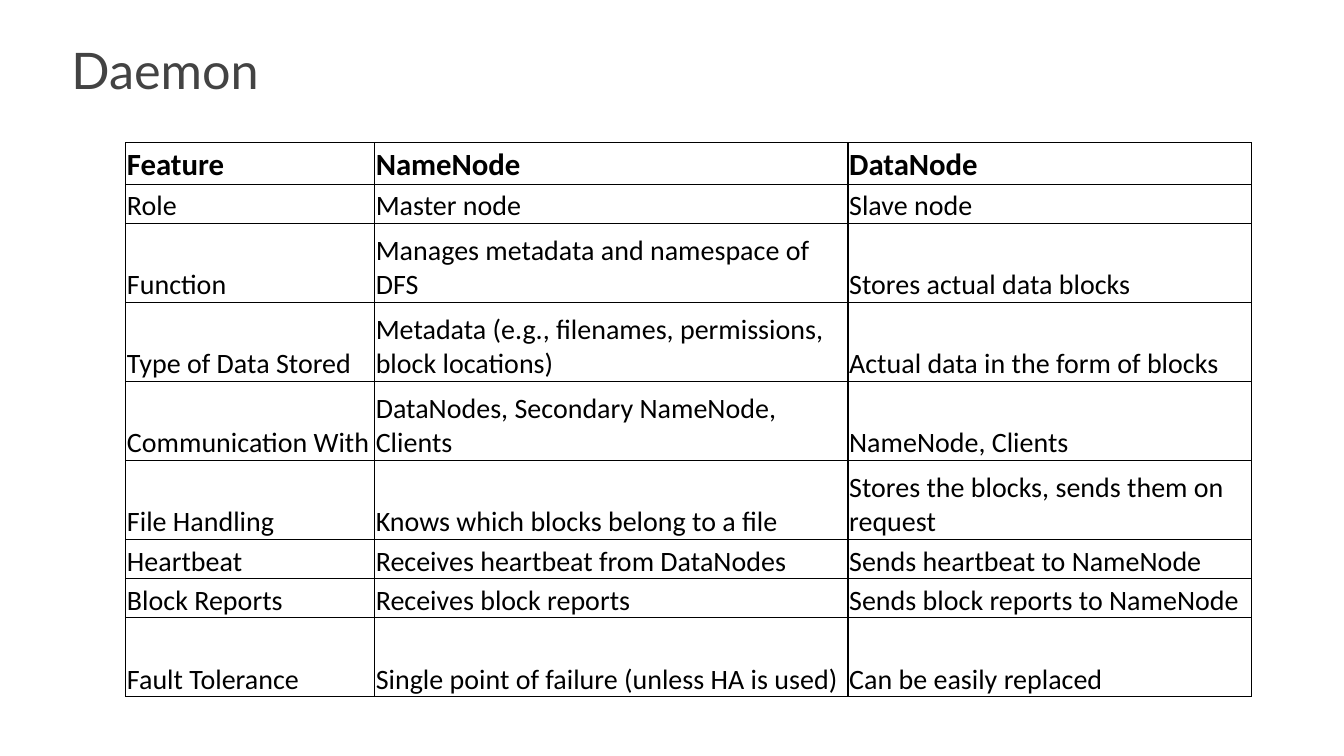
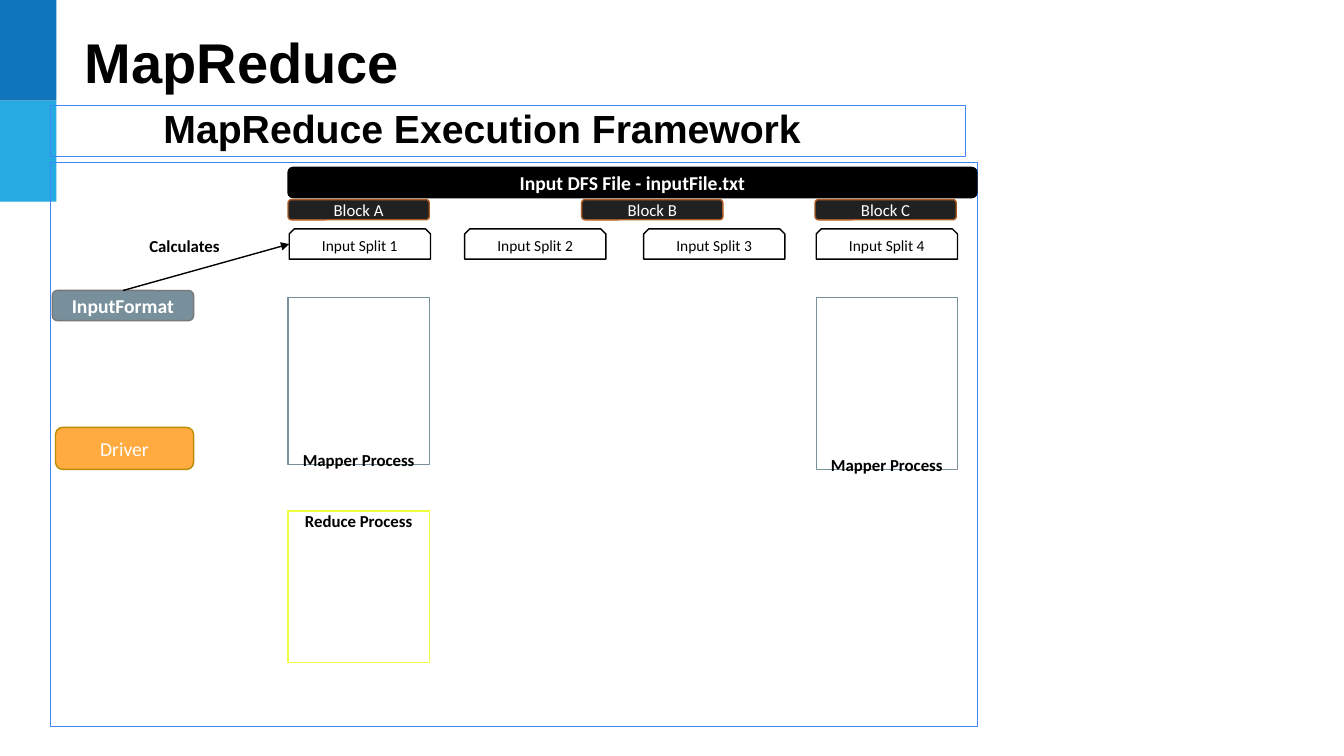
import dataclasses
import typing

import pptx
import pptx.dml.color
import pptx.enum.shapes
import pptx.enum.text
import pptx.oxml
import pptx.oxml.ns
import pptx.presentation
import pptx.shapes.autoshape
import pptx.slide
import pptx.table
import pptx.text.text
import pptx.util

Cm = pptx.util.Cm
Pt = pptx.util.Pt
SHAPE = pptx.enum.shapes.MSO_SHAPE
ALIGN = pptx.enum.text.PP_ALIGN
ANCHOR = pptx.enum.text.MSO_ANCHOR

COLORS = {
    "black": "000000",
    "white": "FFFFFF",
    "title": "434343",
    "band_dark": "0F75BD",
    "band_light": "25AAE1",
    "frame": "4285F4",
    "block": "212121",
    "block_line": "AB5B23",
    "slate": "78909B",
    "gray": "787878",
    "orange": "FFAB40",
    "gold": "BA8C00",
    "yellow": "EEFF41",
}

COLUMN_WIDTHS = [6.27, 11.93, 10.16]
HEADER_H, ROW_H, TALL_ROW_H = 1.04, 0.99, 1.99
TALL_ROWS = {"Function", "Type of Data Stored", "Communication With", "File Handling", "Fault Tolerance"}
DAEMON_ROWS = [
    ("Feature", "NameNode", "DataNode"),
    ("Role", "Master node", "Slave node"),
    ("Function", "Manages metadata and namespace of DFS", "Stores actual data blocks"),
    ("Type of Data Stored", "Metadata (e.g., filenames, permissions, block locations)",
     "Actual data in the form of blocks"),
    ("Communication With", "DataNodes, Secondary NameNode, Clients", "NameNode, Clients"),
    ("File Handling", "Knows which blocks belong to a file", "Stores the blocks, sends them on request"),
    ("Heartbeat", "Receives heartbeat from DataNodes", "Sends heartbeat to NameNode"),
    ("Block Reports", "Receives block reports", "Sends block reports to NameNode"),
    ("Fault Tolerance", "Single point of failure (unless HA is used)", "Can be easily replaced"),
]

BOX_W = 3.56
SPLIT_TOP, SPLIT_H = 5.77, 0.76
LABEL_H = 0.52


@dataclasses.dataclass(frozen=True)
class TextStyle:
    size: float
    font: str = "Calibri"
    color: str = "black"
    bold: bool = False
    align: ALIGN = ALIGN.CENTER


@dataclasses.dataclass(frozen=True)
class Box:
    left: float
    top: float
    width: float
    height: float
    fill: typing.Optional[str] = None
    line: typing.Optional[str] = None
    weight: float = 1
    kind: SHAPE = SHAPE.RECTANGLE
    text: str = ""
    style: TextStyle = TextStyle(12)
    anchor: ANCHOR = ANCHOR.MIDDLE


LABEL = TextStyle(12, bold=True)
BLOCK = TextStyle(12, color="white")
SPLIT = TextStyle(11)
HEADING = TextStyle(14, color="white", bold=True)
DRIVER = TextStyle(14, color="white")
DAEMON_TITLE = TextStyle(36, "Lato", "title", align=ALIGN.LEFT)
MAPREDUCE_TITLE = TextStyle(40, "Arial", bold=True, align=ALIGN.LEFT)
SUBTITLE = TextStyle(28, "Arial", bold=True, align=ALIGN.LEFT)
HEADER_CELL = TextStyle(22, bold=True, align=ALIGN.LEFT)
BODY_CELL = TextStyle(20, align=ALIGN.LEFT)


def rgb(name: str) -> pptx.dml.color.RGBColor:
    return pptx.dml.color.RGBColor.from_string(COLORS[name])


def write(tf: pptx.text.text.TextFrame, text: str, style: TextStyle) -> None:
    p = tf.paragraphs[0]
    p.text = text
    p.alignment = style.align
    p.font.name = style.font
    p.font.size = Pt(style.size)
    p.font.bold = style.bold
    p.font.color.rgb = rgb(style.color)


def clear_margins(tf: pptx.text.text.TextFrame) -> None:
    tf.margin_left = tf.margin_right = tf.margin_top = tf.margin_bottom = 0
    tf.word_wrap = True


def add_text(s: pptx.slide.Slide, left: float, top: float, width: float, height: float,
             text: str, style: TextStyle) -> None:
    tf = s.shapes.add_textbox(Cm(left), Cm(top), Cm(width), Cm(height)).text_frame
    clear_margins(tf)
    write(tf, text, style)


def add_box(s: pptx.slide.Slide, box: Box) -> pptx.shapes.autoshape.Shape:
    sp = s.shapes.add_shape(box.kind, Cm(box.left), Cm(box.top), Cm(box.width), Cm(box.height))
    sp.shadow.inherit = False
    if box.fill:
        sp.fill.solid()
        sp.fill.fore_color.rgb = rgb(box.fill)
    else:
        sp.fill.background()
    if box.line:
        sp.line.color.rgb = rgb(box.line)
        sp.line.width = Pt(box.weight)
    else:
        sp.line.fill.background()
    if box.text:
        clear_margins(sp.text_frame)
        sp.text_frame.vertical_anchor = box.anchor
        write(sp.text_frame, box.text, box.style)
    return sp


def add_arrow(s: pptx.slide.Slide, x1: float, y1: float, x2: float, y2: float) -> None:
    cxn = s.shapes.add_connector(pptx.enum.shapes.MSO_CONNECTOR.STRAIGHT, Cm(x1), Cm(y1), Cm(x2), Cm(y2))
    cxn.line.color.rgb = rgb("black")
    cxn.line.width = Pt(1)
    ns = pptx.oxml.ns.nsdecls("a")
    cxn.line._get_or_add_ln().append(pptx.oxml.parse_xml(f'<a:tailEnd {ns} type="triangle"/>'))
    cxn._element.spPr.append(pptx.oxml.parse_xml(f"<a:effectLst {ns}/>"))


def set_borders(cell: pptx.table._Cell) -> None:
    tc_pr = cell._tc.get_or_add_tcPr()
    for i, side in enumerate("LRTB"):
        tc_pr.insert(i, pptx.oxml.parse_xml(
            f'<a:ln{side} {pptx.oxml.ns.nsdecls("a")} w="{Pt(1)}"><a:solidFill>'
            f'<a:srgbClr val="{COLORS["black"]}"/></a:solidFill></a:ln{side}>'))


def fill_cell(cell: pptx.table._Cell, text: str, style: TextStyle) -> None:
    cell.fill.background()
    cell.margin_left = cell.margin_right = cell.margin_top = Cm(0.03)
    cell.margin_bottom = 0
    cell.vertical_anchor = ANCHOR.BOTTOM
    write(cell.text_frame, text, style)
    set_borders(cell)


def row_height(feature: str) -> float:
    if feature == "Feature":
        return HEADER_H
    return TALL_ROW_H if feature in TALL_ROWS else ROW_H


def new_slide(prs: pptx.presentation.Presentation) -> pptx.slide.Slide:
    return prs.slides.add_slide(prs.slide_layouts[6])


def build_daemon(prs: pptx.presentation.Presentation) -> None:
    s = new_slide(prs)
    add_text(s, 1.8, 0.99, 11.02, 1.6, "Daemon", DAEMON_TITLE)
    heights = [row_height(row[0]) for row in DAEMON_ROWS]
    table = s.shapes.add_table(len(DAEMON_ROWS), len(COLUMN_WIDTHS), Cm(3.17), Cm(3.6),
                               Cm(sum(COLUMN_WIDTHS)), Cm(sum(heights))).table
    table.first_row = table.horz_banding = False
    for column, width in zip(table.columns, COLUMN_WIDTHS):
        column.width = Cm(width)
    for r, (row, height) in enumerate(zip(DAEMON_ROWS, heights)):
        table.rows[r].height = Cm(height)
        for c, text in enumerate(row):
            fill_cell(table.cell(r, c), text, HEADER_CELL if r == 0 else BODY_CELL)


def build_mapreduce(prs: pptx.presentation.Presentation) -> None:
    s = new_slide(prs)
    for i, color in enumerate(("band_dark", "band_light")):
        add_box(s, Box(0, 2.54 * i, 1.42, 2.54, fill=color))
    add_text(s, 2.14, 0.7, 12, 1.75, "MapReduce", MAPREDUCE_TITLE)

    add_box(s, Box(1.27, 4.09, 23.37, 14.22, line="frame", weight=0.75))
    add_box(s, Box(1.27, 2.67, 23.06, 1.27, line="frame", weight=0.75))
    add_text(s, 4.12, 2.63, 18, 1.24, "MapReduce Execution Framework", SUBTITLE)

    rounded = SHAPE.ROUNDED_RECTANGLE
    add_box(s, Box(7.26, 4.22, 17.36, 0.76, "black", "black", kind=rounded,
                   text="Input DFS File - inputFile.txt", style=HEADING))
    for letter, left in zip("ABC", (7.26, 14.66, 20.54)):
        add_box(s, Box(left, 5.03, BOX_W, 0.51, "block", "block_line", kind=rounded,
                       text=f"Block {letter}", style=BLOCK))
    split_lefts = (7.29, 11.71, 16.22, 20.57)
    for number, left in enumerate(split_lefts, start=1):
        add_box(s, Box(left, SPLIT_TOP, BOX_W, SPLIT_H, line="black", kind=SHAPE.SNIP_2_SAME_RECTANGLE,
                       text=f"Input Split {number}", style=SPLIT))

    input_format = Box(1.32, 7.32, BOX_W, 0.76, "slate", "gray", kind=rounded, text="InputFormat", style=HEADING)
    add_box(s, input_format)
    add_box(s, Box(1.4, 10.77, 3.48, 1.06, "orange", "gold", kind=rounded, text="Driver", style=DRIVER))
    add_arrow(s, input_format.left + BOX_W / 2, input_format.top, split_lefts[0], SPLIT_TOP + SPLIT_H / 2)
    add_text(s, 3.6, 5.94, 2.1, LABEL_H, "Calculates", LABEL)

    for left, height in ((7.26, 4.22), (20.57, 4.34)):
        mapper = Box(left, 7.49, BOX_W, height, line="slate")
        add_box(s, mapper)
        add_text(s, left, mapper.top + height - 0.37, BOX_W, LABEL_H, "Mapper Process", LABEL)
    add_box(s, Box(7.26, 12.88, BOX_W, 3.81, line="yellow", text="Reduce Process", style=LABEL,
                   anchor=ANCHOR.TOP))


def main() -> None:
    prs = pptx.Presentation()
    prs.slide_width = Cm(33.87)
    prs.slide_height = Cm(19.05)
    build_daemon(prs)
    build_mapreduce(prs)
    prs.save("out.pptx")


if __name__ == "__main__":
    main()
